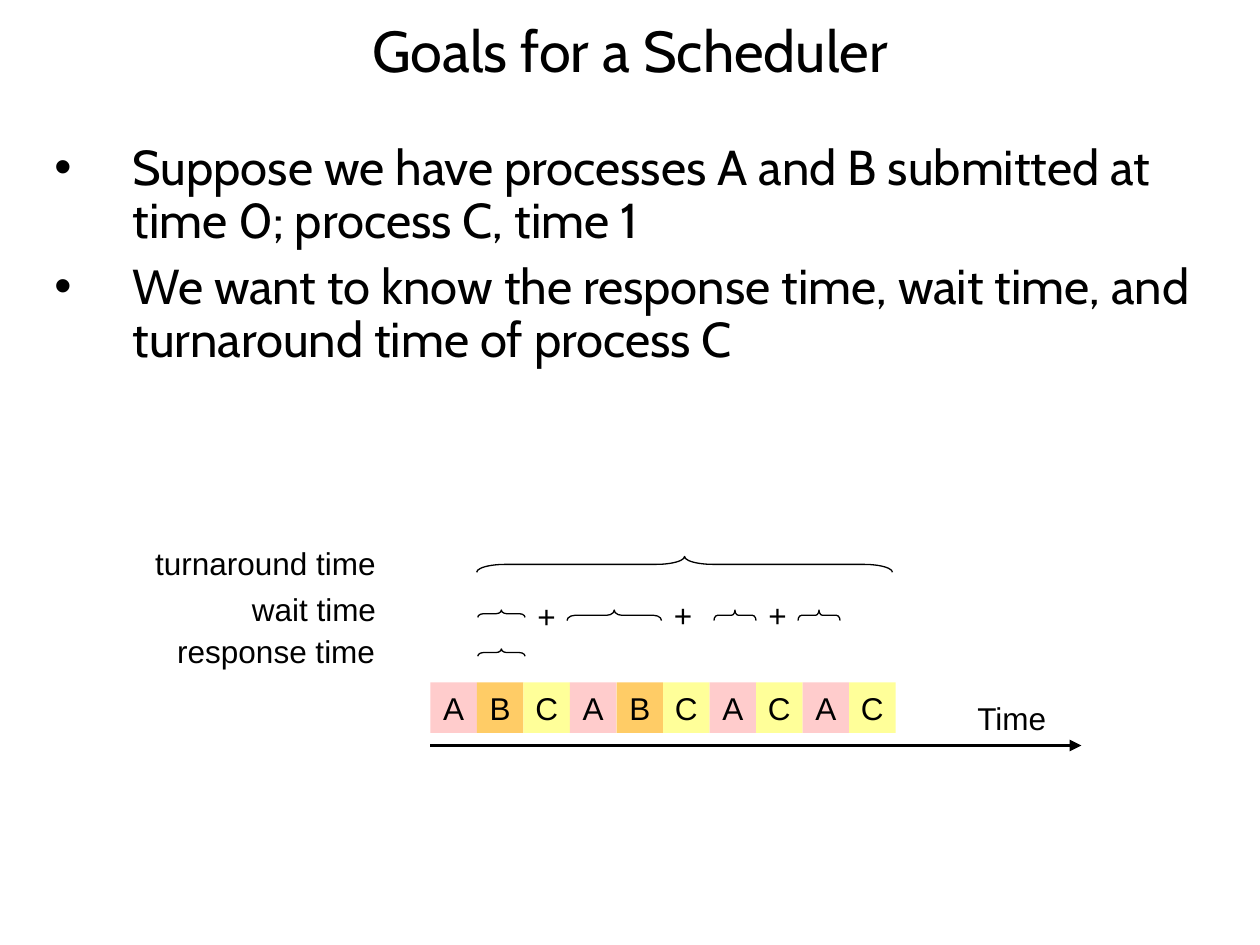
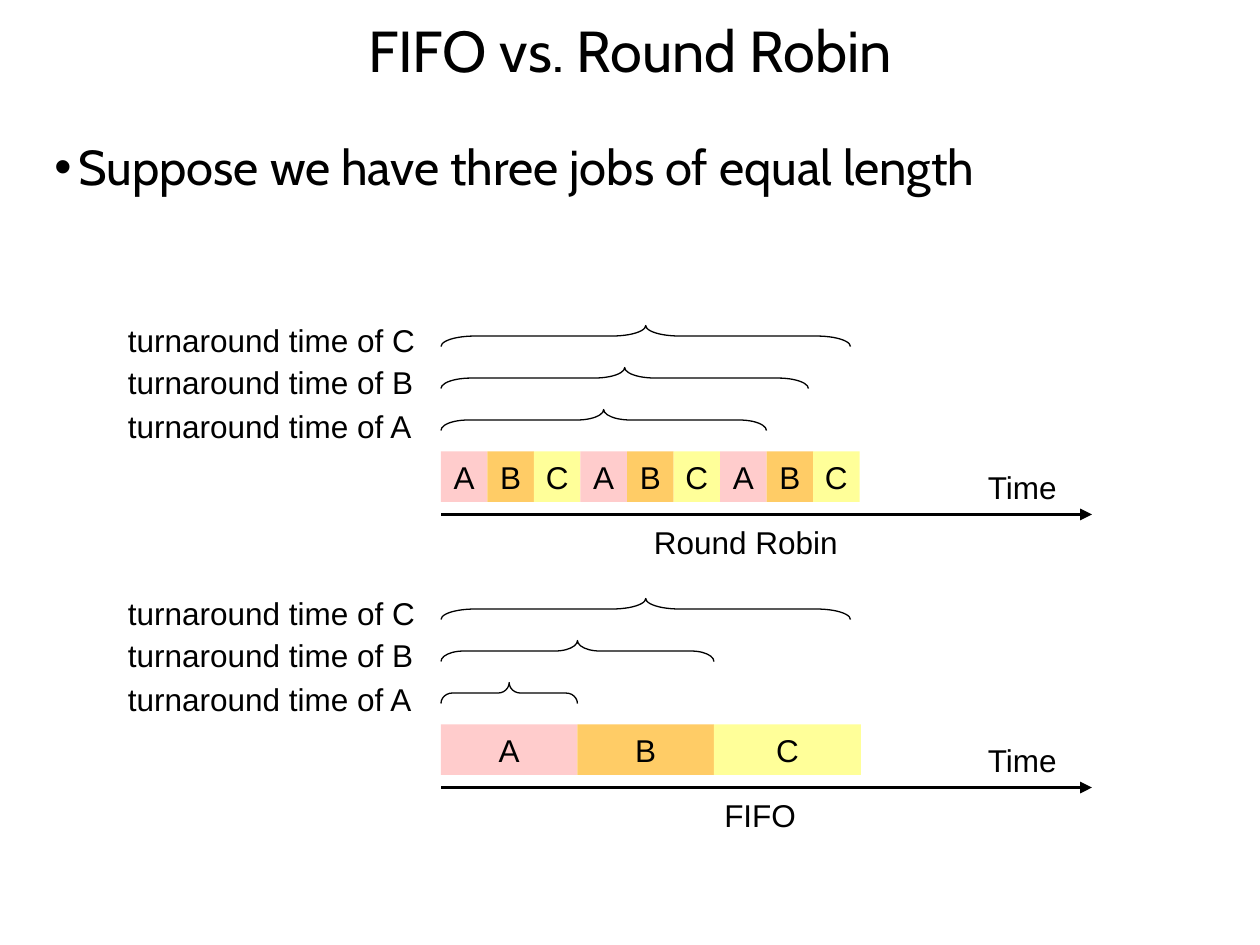
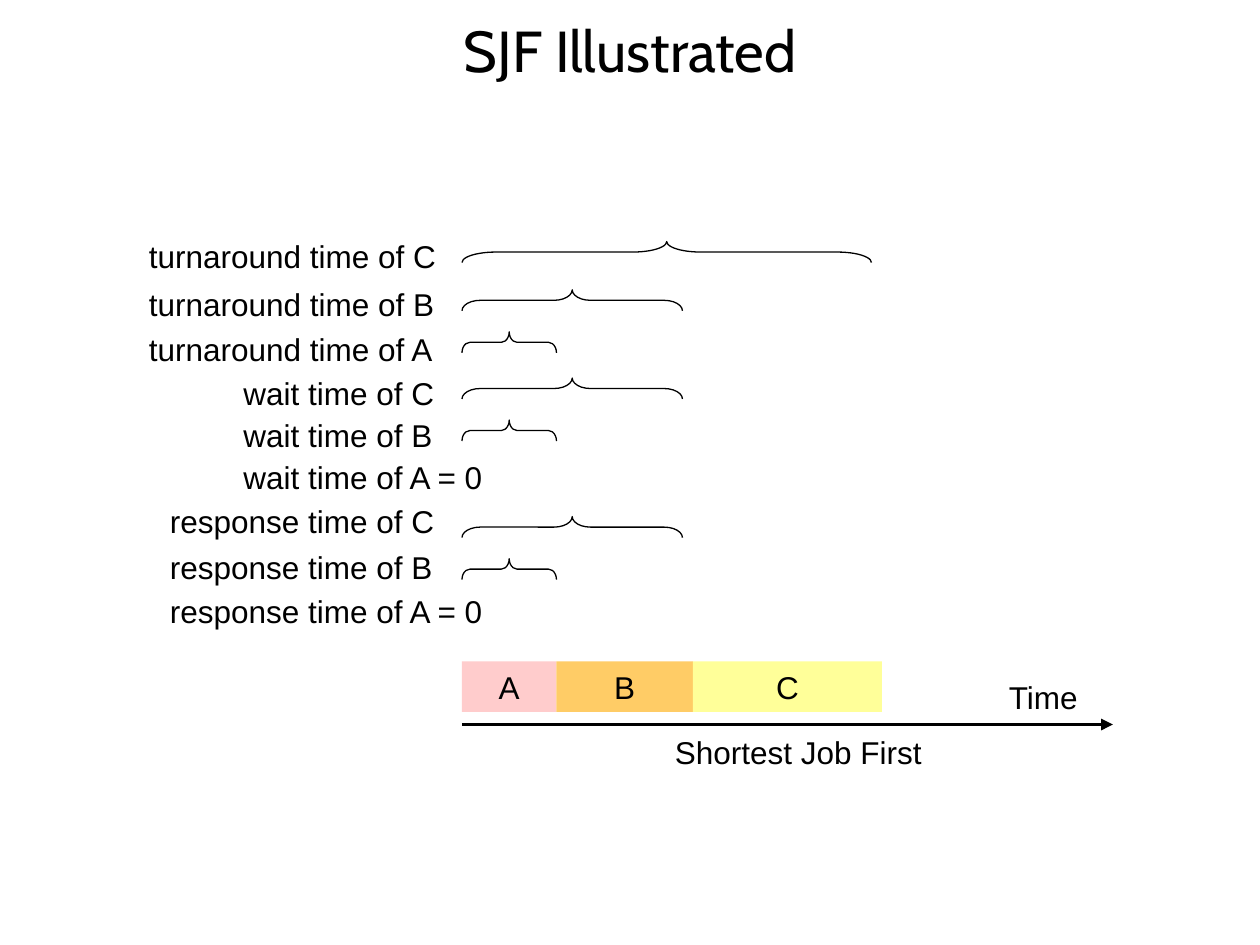
"""Three slides that compare CPU scheduling policies."""
from dataclasses import dataclass, field

from lxml import etree
from pptx import Presentation
from pptx import util as u
from pptx.dml import color as c
from pptx.enum import shapes, text
from pptx.oxml import ns


@dataclass
class Theme:
    """Colours, fonts, type sizes and line widths."""
    ink: str = "000000"
    head: str = "Cabin"
    font: str = "Arial"
    title: int = 33
    body: int = 28
    label: int = 18
    thin: float = 0.75
    thick: float = 2.25
    jobs: dict = field(default_factory=lambda: {
        "A": "FFCCCC", "B": "FFCC66", "C": "FFFF99"})


def cell(count):
    """Turn a count of grid cells, twelve to the inch, into a length."""
    return u.Inches(count / 12)


def child(parent, tag, **attrs):
    """Add an XML element with its attributes."""
    return etree.SubElement(parent, ns.qn(tag), attrs)


def say(frame, lines, font, size, color, align="LEFT", anchor="TOP", wrap=False,
        space=None, gap=0, hang=None):
    """Write the lines into a text frame."""
    frame.word_wrap = wrap
    frame.vertical_anchor = text.MSO_ANCHOR[anchor]
    for i, line in enumerate(lines.split("\n")):
        para = frame.add_paragraph() if i else frame.paragraphs[0]
        para.text = line
        para.alignment = text.PP_ALIGN[align]
        if space:
            para.line_spacing = space
        if i and gap:
            para.space_before = u.Pt(gap)
        if hang:
            props = para._p.get_or_add_pPr()
            props.set("marL", str(u.Inches(hang)))
            props.set("indent", str(-u.Inches(hang)))
            child(props, "a:buFont", typeface="Arial")
            child(props, "a:buChar", char="•")
        run = para.runs[0].font
        run.name, run.size = font, u.Pt(size)
        run.color.rgb = c.RGBColor.from_string(color)


class Deck:
    """Hold the style and the current slide."""

    def __init__(self, theme):
        """Start a deck of 120 columns by 90 rows."""
        self.theme = theme
        self.show = Presentation()
        self.show.slide_width, self.show.slide_height = cell(120), cell(90)

    def page(self, title):
        """Start a slide with its title."""
        self.slide = self.show.slides.add_slide(self.show.slide_layouts[6])
        self.text(title, 4, 0, 112, 10.2, font=self.theme.head, size=self.theme.title,
                  align="CENTER", anchor="MIDDLE", wrap=True, space=0.9)

    def text(self, words, x, y, w, h=4.8, **style):
        """Add a text box, in label style unless told otherwise."""
        box = self.slide.shapes.add_textbox(cell(x), cell(y), cell(w), cell(h))
        base = dict(font=self.theme.font, size=self.theme.label, color=self.theme.ink)
        say(box.text_frame, words, **(base | style))

    def list(self, lines, hang):
        """Add the bulleted body text."""
        self.text(lines, 4, 13, 112, 68, font=self.theme.head, size=self.theme.body,
                  wrap=True, space=0.9, gap=7.5, hang=hang)

    def shape(self, kind, x, y, w, h):
        """Add a preset shape without shadow."""
        item = self.slide.shapes.add_shape(kind, cell(x), cell(y), cell(w), cell(h))
        item.shadow.inherit = False
        return item

    def block(self, job, x, y, w):
        """Add the time slice of one job."""
        box = self.shape(shapes.MSO_SHAPE.RECTANGLE, x, y, w, 4.8)
        box.fill.solid()
        box.fill.fore_color.rgb = c.RGBColor.from_string(self.theme.jobs[job])
        box.line.fill.background()
        say(box.text_frame, job, self.theme.font, self.theme.label, self.theme.ink,
            align="CENTER")

    def brace(self, x, y, w, h=2, curl=None):
        """Add a brace that spans w columns and points up."""
        item = self.shape(shapes.MSO_SHAPE.RIGHT_BRACE,
                          x + (w - h) / 2, y + (h - w) / 2, h, w)
        item.rotation = 270
        item.adjustments[0] = curl or w / h / 12
        item.fill.background()
        self.ink(item.line, self.theme.thin)

    def ink(self, line, width):
        """Set the colour and width of a line."""
        line.color.rgb = c.RGBColor.from_string(self.theme.ink)
        line.width = u.Pt(width)

    def arrow(self, x, y, w):
        """Add a level arrow to the right."""
        line = self.slide.shapes.add_connector(
            shapes.MSO_CONNECTOR.STRAIGHT, cell(x), cell(y), cell(x + w), cell(y))
        self.ink(line.line, self.theme.thick)
        child(line.line._get_or_add_ln(), "a:tailEnd", type="triangle")
        child(line._element.spPr, "a:effectLst")

    def chart(self, x, y, jobs, spans):
        """Add a row of time slices above its time axis."""
        left = x
        for job, span in zip(jobs, spans):
            self.block(job, left, y, span)
            left += span
        self.arrow(x, y + 6, 62)
        self.text("Time", x + 50.9, y + 1, 9.4)


SLICE = 4.43


def goals(deck):
    """Show the times of one process."""
    deck.page("Goals for a Scheduler")
    deck.list("Suppose we have processes A and B submitted at time 0; process C, time 1\n"
              "We want to know the response time, wait time, and turnaround time "
              "of process C", 0.62)
    order = "ABCABCACAC"
    deck.chart(41, 65, order, [SLICE] * len(order))
    for words, x, y, w in (("turnaround time", 13.6, 51.2, 24),
                           ("wait time", 22.8, 55.6, 15),
                           ("response time", 15.7, 59.6, 22)):
        deck.text(words, x, y, w)
    deck.brace(45.4, 53, 39.6, 1.5, 1.83)
    for y in (58.1, 61.8):
        deck.brace(45.5, y, 4.5, 0.7, 0.75)
    for x, w in ((54, 9), (68, 4), (76, 4)):
        deck.brace(x, 58.1, w, 1)
    for x, y in ((50, 56.3), (63, 56.2), (72, 56.2)):
        deck.text("+", x, y, 4.5)


def versus(deck):
    """Compare turnaround under two policies."""
    deck.page("FIFO vs. Round Robin")
    deck.list("Suppose we have three jobs of equal length", 0.19)
    order = "ABC" * 3
    plans = ((43, order, [SLICE] * len(order), (31, 35, 39), "Round Robin", 61.1, 20.5),
             (69, "ABC", (13, 13, 14), (13, 26, 39), "FIFO", 67.8, 9.6))
    for y, jobs, spans, turns, name, x, w in plans:
        deck.chart(42, y, jobs, spans)
        deck.text(name, x, y + 6.2, w)
        for job, turn, rise, drop in zip("ABC", turns, (4, 8, 12), (4.8, 9, 13)):
            deck.brace(42, y - rise, turn)
            deck.text(f"turnaround time of {job}", 11, y - drop, 30.5)


def shortest(deck):
    """Show all times under shortest job first."""
    deck.page("SJF Illustrated")
    deck.chart(44, 63, "ABC", (9, 13, 18))
    deck.text("Shortest Job First", 63.1, 69.2, 26.5)
    groups = (
        ("turnaround", 13, 30.5, (("C", 22, 23, 39), ("B", 26.6, 27.6, 21),
                                  ("A", 30.8, 31.6, 9))),
        ("wait", 22, 21.4, (("C", 35, 36, 21), ("B", 39, 40, 9), ("A = 0", 43, 0, 0))),
        ("response", 15, 28.4, (("C", 47.2, 49.2, 21), ("B", 51.6, 53.2, 9),
                                ("A = 0", 55.8, 0, 0))))
    for kind, x, w, rows in groups:
        for job, y, top, span in rows:
            deck.text(f"{kind} time of {job}", x, y, w if span else w + 5)
            if span:
                deck.brace(44, top, span)


def main():
    """Build and save the deck."""
    deck = Deck(Theme())
    for build in (goals, versus, shortest):
        build(deck)
    deck.show.save("out.pptx")


if __name__ == "__main__":
    main()
